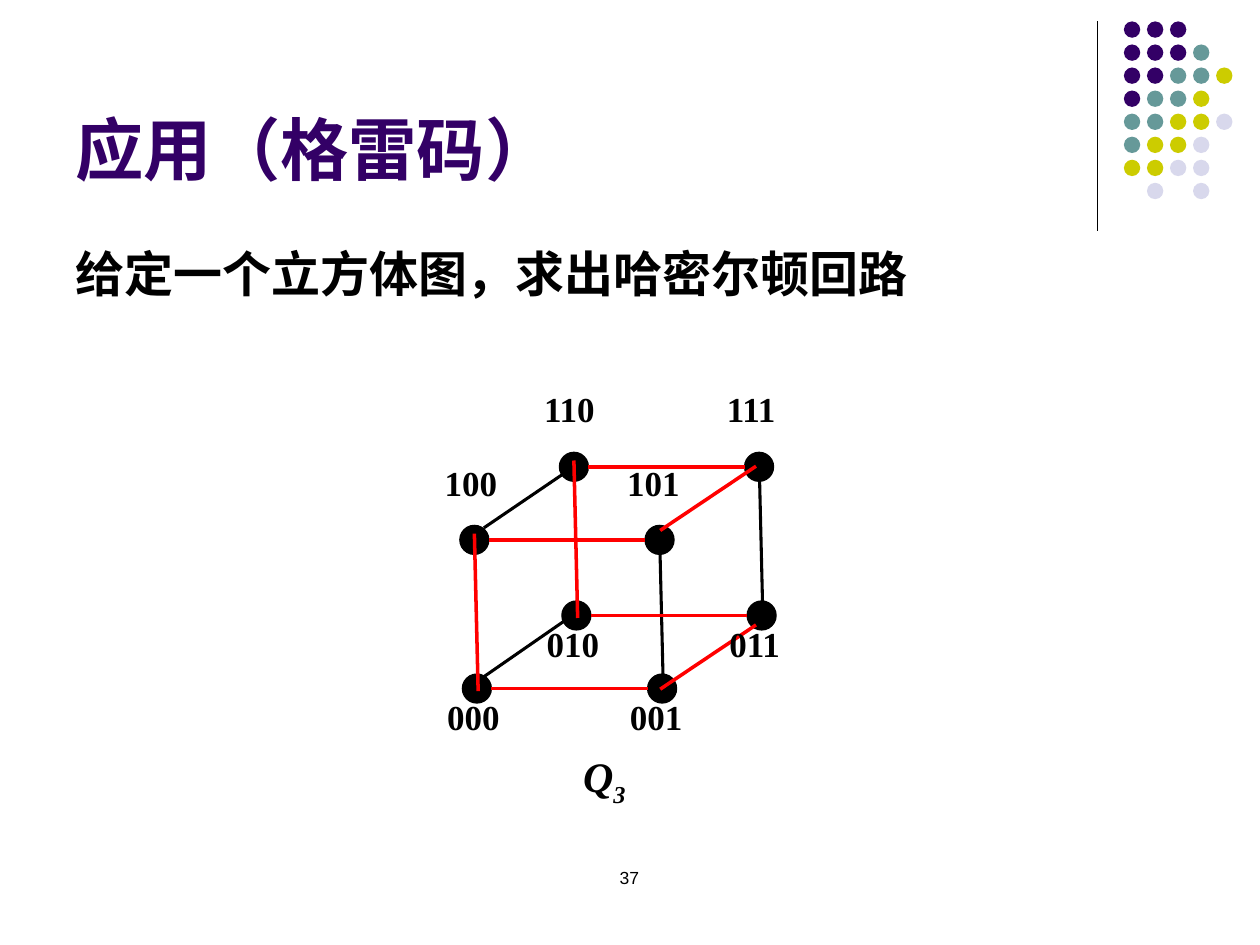
import lxml.etree
import pptx
import pptx.util
import pptx.dml.color
import pptx.enum.shapes
import pptx.enum.text
import pptx.oxml.ns

Inches, Pt = pptx.util.Inches, pptx.util.Pt
SHAPE = pptx.enum.shapes.MSO_SHAPE
ALIGN = pptx.enum.text.PP_ALIGN
ANCHOR = pptx.enum.text.MSO_ANCHOR

HEADING = "应用（格雷码）"
TASK = "给定一个立方体图，求出哈密尔顿回路"
PAGE = "37"
VERTICES = ["000", "001", "010", "011", "100", "101", "110", "111"]

# Cube edges: on the Hamiltonian cycle or off it, with the slanted ones placed by hand
CYCLE = [("100", "101"), ("000", "001"), ("110", "111"), ("010", "011"),
         ("000", "100"), ("010", "110")]
CYCLE_SLANTS = [(5.24, 5.47, 6, 4.96), (5.24, 4.21, 6, 3.7)]
REST = [("001", "101"), ("011", "111")]
REST_SLANTS = [(3.77, 5.42, 4.52, 4.9), (3.84, 4.19, 4.59, 3.68)]

DOT_ROWS = ["PPP", "PPPT", "PPTTY", "PTTY", "TTYYL", "TYYL", "YYLL", " L L"]
COLORS = {"P": "330066", "T": "669999", "Y": "CCCC00", "L": "D8D8EC",
          "ink": "000000", "cycle": "FF0000"}
NODE = 0.23
LABEL_SIZE = (0.57, 0.44)

LABEL_FONT = {"name": "Times New Roman", "size": Pt(20), "bold": True}
CUBE_FONT = {**LABEL_FONT, "size": Pt(24), "italic": True}
TASK_FONT = {**LABEL_FONT, "size": Pt(28)}
HEADING_FONT = {"name": "Arial", "size": Pt(39), "bold": True}
PAGE_FONT = {"name": "Arial", "size": Pt(10)}


def rgb(key):
    return pptx.dml.color.RGBColor.from_string(COLORS[key])


def write(frame, words, font, color="ink", align=ALIGN.LEFT, anchor=ANCHOR.TOP):
    """Fill a frame's first paragraph with one run per word."""
    frame.vertical_anchor = anchor
    paragraph = frame.paragraphs[0]
    paragraph.alignment = align
    for word in words:
        run = paragraph.add_run()
        run.text = word
        for attribute, value in font.items():
            setattr(run.font, attribute, value)
        run.font.color.rgb = rgb(color)
    return paragraph


def place(item, left, top, width, height):
    item.left, item.top = Inches(left), Inches(top)
    item.width, item.height = Inches(width), Inches(height)


def add_disc(shapes, kind, left, top, size, color, outline=None):
    disc = shapes.add_shape(kind, Inches(left), Inches(top), Inches(size), Inches(size))
    disc.shadow.inherit = False
    disc.fill.solid()
    disc.fill.fore_color.rgb = rgb(color)
    if outline:
        disc.line.color.rgb = rgb(color)
        disc.line.width = Pt(outline)
    else:
        disc.line.fill.background()


def add_line(shapes, ends, color, width):
    line = shapes.add_connector(pptx.enum.shapes.MSO_CONNECTOR.STRAIGHT,
                                *(Inches(value) for value in ends))
    line.line.color.rgb = rgb(color)
    line.line.width = Pt(width)
    properties = line._element.find(pptx.oxml.ns.qn("p:spPr"))
    lxml.etree.SubElement(properties, pptx.oxml.ns.qn("a:effectLst"))


def add_label(shapes, words, font, left, top, width, height):
    label = shapes.add_shape(SHAPE.RECTANGULAR_CALLOUT, Inches(left), Inches(top),
                             Inches(width), Inches(height))
    label.shadow.inherit = False
    label.fill.background()
    label.line.fill.background()
    label.text_frame.word_wrap = False
    return write(label.text_frame, words, font)


def corner(vertex):
    """Left and top of a node: each bit moves it along one cube axis."""
    up, back, right = (int(bit) for bit in vertex)
    return 3.67 + 1.47 * right + 0.79 * back - 0.02 * up, 5.35 - 0.58 * back - 1.18 * up


def edge_ends(start, end):
    (x1, y1), (x2, y2) = corner(start), corner(end)
    half = NODE / 2
    if start[0] == end[0]:
        return x1 + NODE, y1 + half, x2, y2 + half
    return x1 + half + 0.01, y1 + half + 0.02, x2 + half, y2 + half - 0.05


def add_edges(shapes, pairs, slants, color, width):
    for ends in [edge_ends(*pair) for pair in pairs] + slants:
        add_line(shapes, ends, color, width)


def add_cube(shapes):
    add_edges(shapes, REST, REST_SLANTS, "ink", 1.75)
    for vertex in VERTICES:
        add_disc(shapes, SHAPE.FLOWCHART_CONNECTOR, *corner(vertex), NODE, "ink", 0.75)
    add_edges(shapes, CYCLE, CYCLE_SLANTS, "cycle", 2)
    for vertex in VERTICES:
        left, top = corner(vertex)
        rise = -0.56 if vertex[0] == "1" else 0.12
        add_label(shapes, [vertex], LABEL_FONT,
                  left - 0.22 - 0.02 * int(vertex[2]), top + rise, *LABEL_SIZE)
    cube_name = add_label(shapes, ["Q", "3"], CUBE_FONT, 4.53, 5.91, 1.13, 0.55)
    cube_name.runs[1].font._element.set("baseline", "-25000")


def add_ornament(shapes):
    add_line(shapes, (8.71, 0.17, 8.71, 1.83), "ink", 0.75)
    pitch = 0.183
    for row, dots in enumerate(DOT_ROWS):
        for column, color in enumerate(dots):
            if color != " ":
                add_disc(shapes, SHAPE.OVAL, 8.92 + column * pitch,
                         0.17 + row * pitch, 0.13, color)


def main():
    deck = pptx.Presentation()
    deck.slide_width, deck.slide_height = Inches(10), Inches(7.5)
    slide = deck.slides.add_slide(deck.slide_layouts[1])
    shapes = slide.shapes
    add_ornament(shapes)

    heading, task = slide.placeholders
    place(heading, 0.5, 0.13, 8.25, 1.42)
    place(task, 0.5, 1.88, 9.23, 1.08)
    for holder in (heading, task):
        holder.text_frame.auto_size = pptx.enum.text.MSO_AUTO_SIZE.NONE
    write(heading.text_frame, [HEADING], HEADING_FONT, "P", anchor=ANCHOR.BOTTOM)
    task_line = write(task.text_frame, [TASK], TASK_FONT)
    task_line.space_before = Pt(0)
    settings = task_line._p.get_or_add_pPr()
    settings.set("marL", "0")
    settings.set("indent", "0")
    lxml.etree.SubElement(settings, pptx.oxml.ns.qn("a:buNone"))

    add_cube(shapes)
    page = shapes.add_textbox(Inches(3.83), Inches(6.83), Inches(2.33), Inches(0.5))
    page.text_frame.word_wrap = True
    write(page.text_frame, [PAGE], PAGE_FONT, align=ALIGN.CENTER)
    deck.save("out.pptx")


if __name__ == "__main__":
    main()
